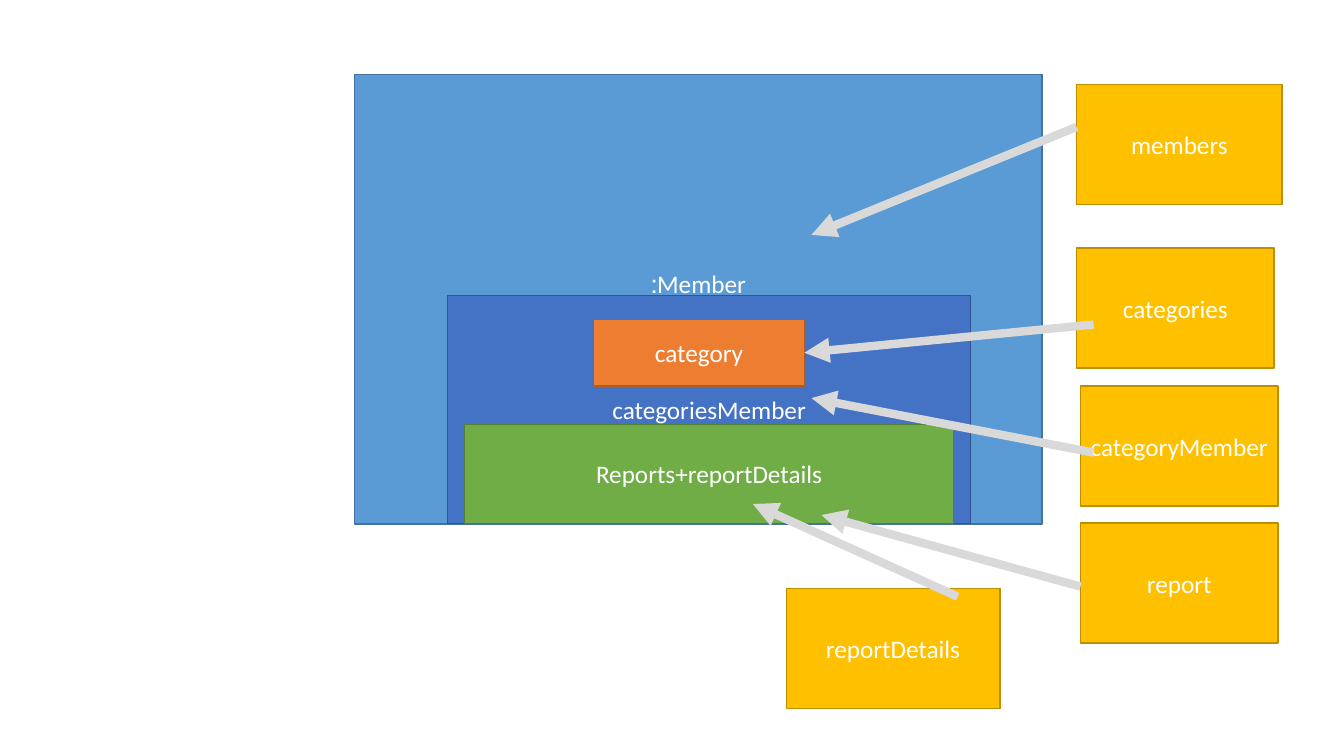
import pptx
import pptx.util
import pptx.dml.color
import pptx.enum.shapes
import pptx.enum.text
from lxml import etree

Pt = pptx.util.Pt
RGB = pptx.dml.color.RGBColor

WHITE = RGB(0xFF, 0xFF, 0xFF)
GREY = RGB(0xD9, 0xD9, 0xD9)
# Fill and outline pairs
BLUE = RGB(0x5B, 0x9B, 0xD5), RGB(0x43, 0x73, 0x9E)
INDIGO = RGB(0x44, 0x72, 0xC4), RGB(0x32, 0x54, 0x91)
GREEN = RGB(0x70, 0xAD, 0x47), RGB(0x53, 0x80, 0x35)
ORANGE = RGB(0xED, 0x7D, 0x31), RGB(0xAF, 0x5C, 0x24)
GOLD = RGB(0xFF, 0xC0, 0x00), RGB(0xBD, 0x8E, 0x00)

DOCUMENT_BOX = 253.4, 53.3, 491, 321
COLLECTIONS_BOX = 561.6, 60.5, 354.4, 445.7
LINE_HEIGHT = 22


def add_block(slide, label, left, top, width, height, colors):
    block = slide.shapes.add_shape(
        pptx.enum.shapes.MSO_SHAPE.RECTANGLE, Pt(left), Pt(top), Pt(width), Pt(height))
    block.shadow.inherit = False
    fill, outline = colors
    block.fill.solid()
    block.fill.fore_color.rgb = fill
    block.line.color.rgb = outline
    block.line.width = Pt(1)
    frame = block.text_frame
    frame.vertical_anchor = pptx.enum.text.MSO_ANCHOR.MIDDLE
    frame.text = label
    paragraph = frame.paragraphs[0]
    paragraph.alignment = pptx.enum.text.PP_ALIGN.CENTER
    paragraph._p.get_or_add_pPr().set("rtl", "1")
    paragraph.font.name = "Calibri"
    paragraph.font.size = Pt(18)
    paragraph.font.color.rgb = WHITE
    return block


def add_arrow(slide, start, end):
    arrow = slide.shapes.add_connector(
        pptx.enum.shapes.MSO_CONNECTOR.STRAIGHT, *(Pt(v) for v in start + end))
    arrow.line.color.rgb = GREY
    arrow.line.width = Pt(6)
    head = etree.SubElement(arrow.line._get_or_add_ln(), pptx.oxml.ns.qn("a:tailEnd"))
    head.set("type", "triangle")
    etree.SubElement(arrow._element.spPr, pptx.oxml.ns.qn("a:effectLst"))
    return arrow


def draw_nested_document(slide, left, top, width, height):
    """Draw the member document with its embedded parts; return the category block."""
    member = add_block(slide, "Member:", left, top, width, height, BLUE)
    member.text_frame.margin_bottom = Pt(3.6 + LINE_HEIGHT)
    bottom = top + height - 0.5
    for label, inset, part_width, part_height, colors in (
            ("categoriesMember", 66.3, 373.7, 162.7, INDIGO),
            ("Reports+reportDetails", 78.5, 349.2, 70.6, GREEN)):
        add_block(slide, label, left + inset, bottom - part_height,
                  part_width, part_height, colors)
    return add_block(slide, "category", left + 170.7, top + 174.9, 150.5, 47.5, ORANGE)


def draw_collections(slide, left, top, width, height):
    """Draw the separate collections: a column at the right, one at the bottom left."""
    block_height = 85.7
    for label, x, y, block_width in (
            ("members", 207.4, 0, 146.9),
            ("categories", 207.4, 116.6, 141.1),
            ("report", 210.2, 313.2, 141.1),
            ("reportDetails", 0, height - block_height, 152.6),
            ("categoryMember", 210.2, 215.3, 141.1)):
        add_block(slide, label, left + x, top + y, block_width, block_height, GOLD)


def draw_embedding_arrows(slide, category, left, top, width, height):
    """Point from each collection to its place in the document box."""
    for start, end in (
            ((527.8, 270), (326.2, 231.1)),
            ((515.6, 37.4), (326.2, 114.5)),
            ((518.4, 365.7), (333.4, 314.6)),
            ((430.6, 372.9), (284.4, 306.7))):
        add_arrow(slide, (left + start[0], top + start[1]), (left + end[0], top + end[1]))
    category_arrow = add_arrow(slide, (left + 527.8, top + 178.5), (left + 321.2, top + 198.7))
    category_arrow.end_connect(category, 3)


def main():
    deck = pptx.Presentation()
    deck.slide_width, deck.slide_height = Pt(960), Pt(540)
    slide = deck.slides.add_slide(deck.slide_layouts[6])
    category = draw_nested_document(slide, *DOCUMENT_BOX)
    draw_collections(slide, *COLLECTIONS_BOX)
    draw_embedding_arrows(slide, category, *DOCUMENT_BOX)
    deck.save("out.pptx")


if __name__ == "__main__":
    main()
